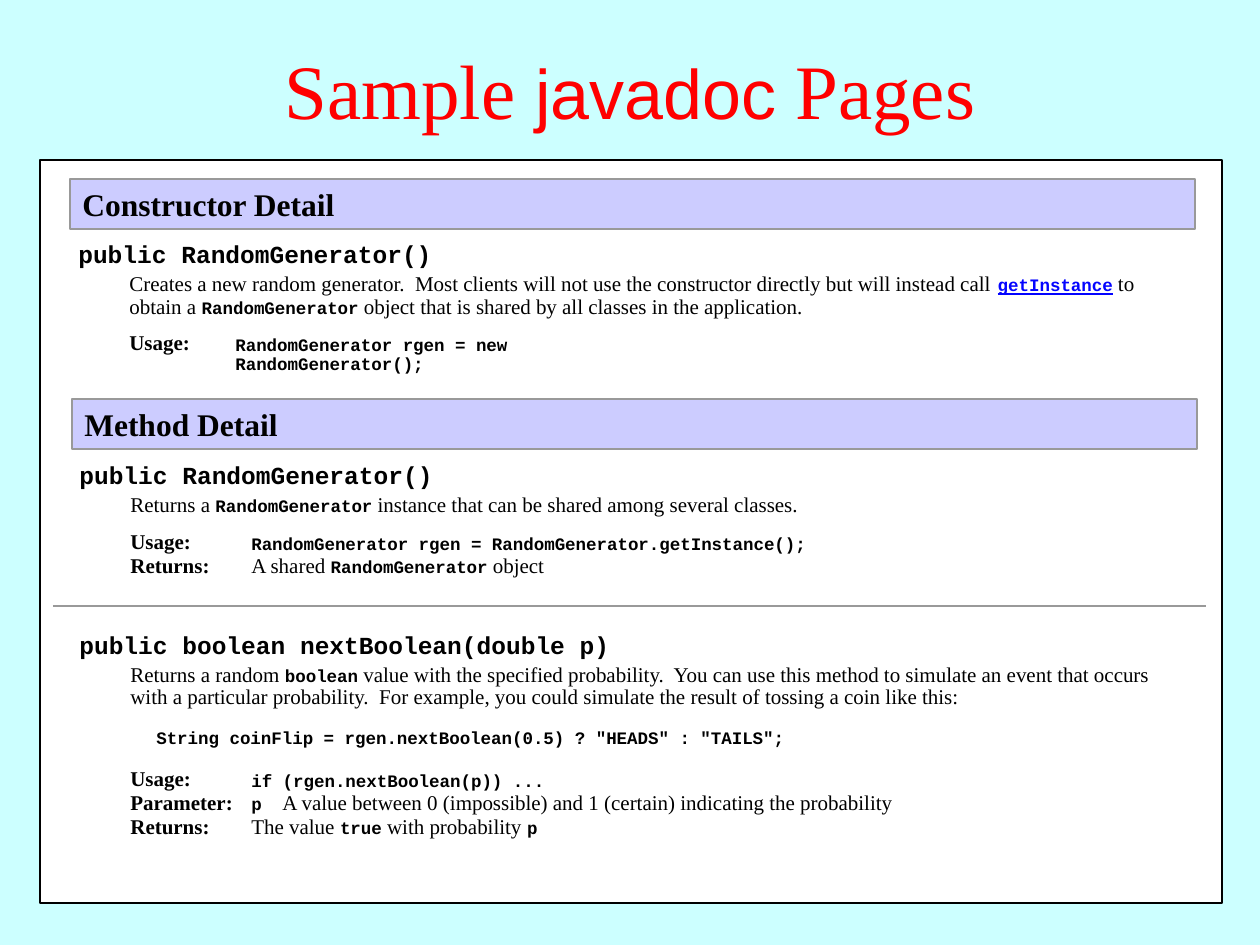
from lxml import etree
from pptx import Presentation
from pptx.dml.color import RGBColor
from pptx.enum.shapes import MSO_CONNECTOR, MSO_SHAPE
from pptx.enum.text import MSO_ANCHOR, PP_ALIGN
from pptx.oxml.ns import qn
from pptx.util import Emu, Pt

RECT, LINE = MSO_SHAPE.RECTANGLE, MSO_CONNECTOR.STRAIGHT
MIDDLE, TOP = MSO_ANCHOR.MIDDLE, MSO_ANCHOR.TOP
LEFT, CENTER = PP_ALIGN.LEFT, PP_ALIGN.CENTER
SCALE = 914400 / 126
SERIF, SANS, MONO = "Times New Roman", "Arial", "Courier New"
PLAIN = dict(size=12)
BOLD = dict(size=12, bold=True)
CODE = dict(size=10, font=MONO, bold=True)
LINK = dict(CODE, color="0404FF", under=True)
HEAD = dict(size=18, bold=True)
SIGN = dict(size=14, font=MONO, bold=True)
BIG = dict(size=44, color="FF0000")
NAME = dict(size=40, font=SANS, color="FF0000")
LABELS = {"Usage:": 91, "Returns:": 110, "Parameter:": 132}


def px(num):
    """Turn pixels into EMU."""
    return Emu(round(num * SCALE))


def tint(code):
    """Turn a hex string into a colour."""
    return RGBColor.from_string(code)


def style(run, size, font=SERIF, color="000000", bold=False, under=False):
    """Set the format of one run."""
    face = run.font
    face.size, face.name = Pt(size), font
    face.bold, face.underline = bold, under
    face.color.rgb = tint(color)


def write(frame, *paras, align=LEFT, anchor=TOP, wrap=True, lines=None,
          indent=0, before=0, tab=None):
    """Fill a frame; indent and before shape the later paragraphs."""
    frame.word_wrap, frame.vertical_anchor = wrap, anchor
    for i, parts in enumerate(paras):
        para = frame.add_paragraph() if i else frame.paragraphs[0]
        props = para._p.get_or_add_pPr()
        if tab:
            stops = etree.SubElement(props, qn("a:tabLst"))
            etree.SubElement(stops, qn("a:tab"), pos=str(px(tab)), algn="l")
        para.alignment = align
        if i:
            props.set("marL", str(px(indent)))
            para.space_before = Pt(before)
        elif lines:
            para.line_spacing = lines
        for words, look in parts:
            run = para.add_run()
            run.text = words
            style(run, **look)


def text(slide, box, *paras, **form):
    """Add a text box with formatted paragraphs."""
    shape = slide.shapes.add_textbox(*map(px, box))
    write(shape.text_frame, *paras, **form)


def block(slide, box, fill, edge, width):
    """Add a filled rectangle."""
    shape = slide.shapes.add_shape(RECT, *map(px, box))
    shape.shadow.inherit = False
    shape.fill.solid()
    shape.fill.fore_color.rgb = tint(fill)
    shape.line.color.rgb = tint(edge)
    shape.line.width = Pt(width)
    return shape


def banner(slide, box, words):
    """Add a section heading bar."""
    shape = block(slide, box, "CCCCFF", "999999", 1.5)
    write(shape.text_frame, [(words, HEAD)], anchor=MIDDLE, wrap=False)


def rule(slide, left, right, top):
    """Add a grey line across the panel."""
    line = slide.shapes.add_connector(LINE, px(left), px(top), px(right), px(top))
    line.line.color.rgb = tint("999999")
    line.line.width = Pt(1.5)
    etree.SubElement(line._element.spPr, qn("a:effectLst"))


def entry(slide, box, sign, body, rows, first, gap=172):
    """Add a signature, its description and its labelled rows."""
    left, top, width, tall = box
    inner = left + 51
    text(slide, (left, top, 946, 43), [(sign, SIGN)])
    text(slide, (inner, top + 34, width - 51, tall), *body,
         lines=0.9, indent=26, before=10)
    for i, (label, wide, parts) in enumerate(rows):
        row = top + first + 24 * i
        drop = 4 if parts == [(parts[0][0], CODE)] else 0
        text(slide, (inner, row, LABELS[label], 35), [(label, BOLD)],
             wrap=False, lines=0.9)
        text(slide, (left + gap, row + drop, wide, 35 - drop), parts,
             wrap=False, lines=0.9, tab=31)


def main():
    """Build the slide."""
    deck = Presentation()
    deck.slide_width, deck.slide_height = px(1260), px(945)
    slide = deck.slides.add_slide(deck.slide_layouts[6])
    slide.background.fill.solid()
    slide.background.fill.fore_color.rgb = tint("CCFFFF")

    text(slide, (0, 10, 1260, 158),
         [("Sample ", BIG), ("javadoc", NAME), (" Pages", BIG)],
         align=CENTER, anchor=MIDDLE)
    block(slide, (40, 160, 1182, 743), "FFFFFF", "000000", 0.75)
    banner(slide, (70, 179, 1125, 50), "Constructor Detail")
    banner(slide, (72, 399, 1125, 50), "Method Detail")

    entry(slide, (66, 233, 1120, 58), "public RandomGenerator()",
          [[("Creates a new random generator.  Most clients will not use the "
             "constructor directly but will instead call ", PLAIN),
            ("getInstance", LINK), (" to obtain a ", PLAIN),
            ("RandomGenerator", CODE),
            (" object that is shared by all classes in the application.", PLAIN)]],
          [("Usage:", 495,
            [("RandomGenerator rgen = new RandomGenerator();", CODE)])],
          93, gap=157)
    entry(slide, (67, 454, 1120, 35), "public RandomGenerator()",
          [[("Returns a ", PLAIN), ("RandomGenerator", CODE),
            (" instance that can be shared among several classes.", PLAIN)]],
          [("Usage:", 580,
            [("RandomGenerator rgen = RandomGenerator.getInstance();", CODE)]),
           ("Returns:", 319,
            [("A shared ", PLAIN), ("RandomGenerator", CODE),
             (" object", PLAIN)])],
          71)
    rule(slide, 53, 1206, 606)
    entry(slide, (67, 624, 1120, 98), "public boolean nextBoolean(double p)",
          [[("Returns a random ", PLAIN), ("boolean", CODE),
            (" value with the specified probability.  You can use this method "
             "to simulate an event that occurs with a particular probability.  "
             "For example, you could simulate the result of tossing a coin "
             "like this:", PLAIN)],
           [('String coinFlip = rgen.nextBoolean(0.5) ? "HEADS" : "TAILS";',
             CODE)]],
          [("Usage:", 318, [("if (rgen.nextBoolean(p)) ...", CODE)]),
           ("Parameter:", 669,
            [("p", CODE),
             ("\tA value between 0 (impossible) and 1 (certain) indicating "
              "the probability", PLAIN)]),
           ("Returns:", 311,
            [("The value ", PLAIN), ("true", CODE),
             (" with probability ", PLAIN), ("p", CODE)])],
          138)
    deck.save("out.pptx")


if __name__ == "__main__":
    main()
